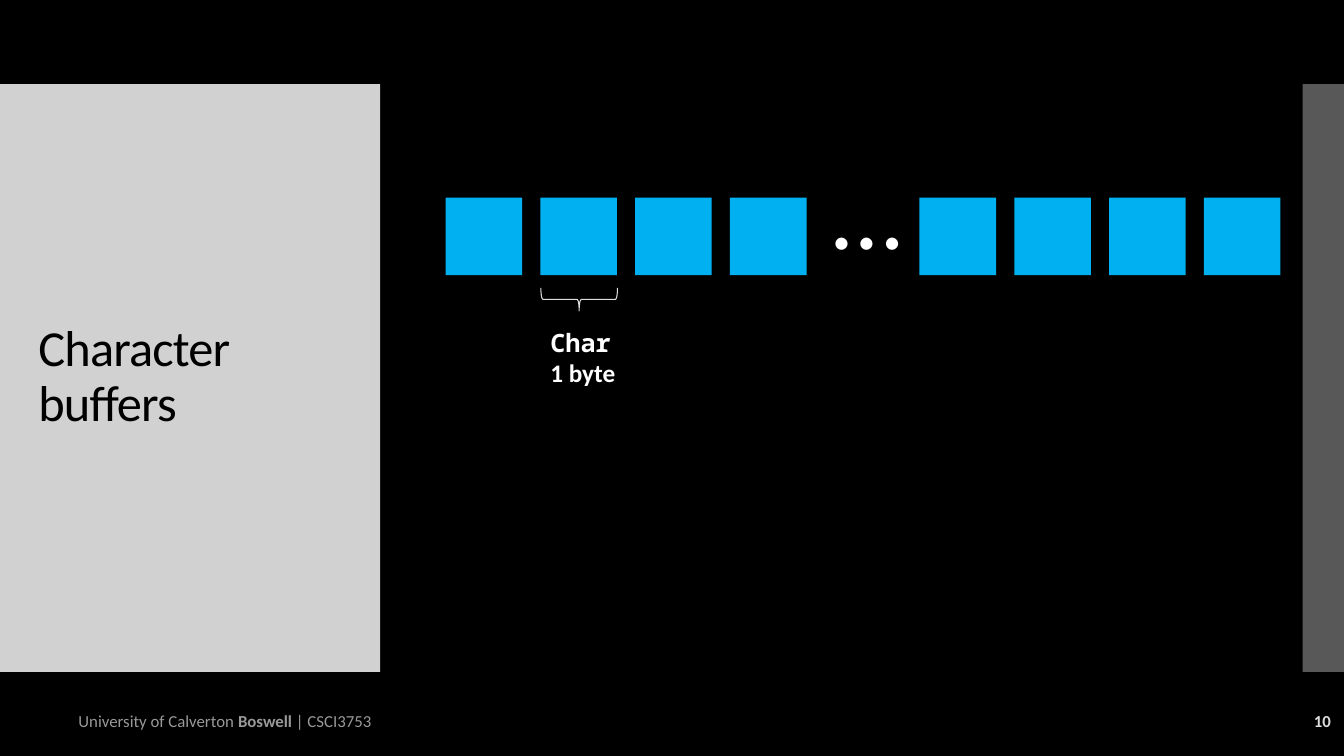
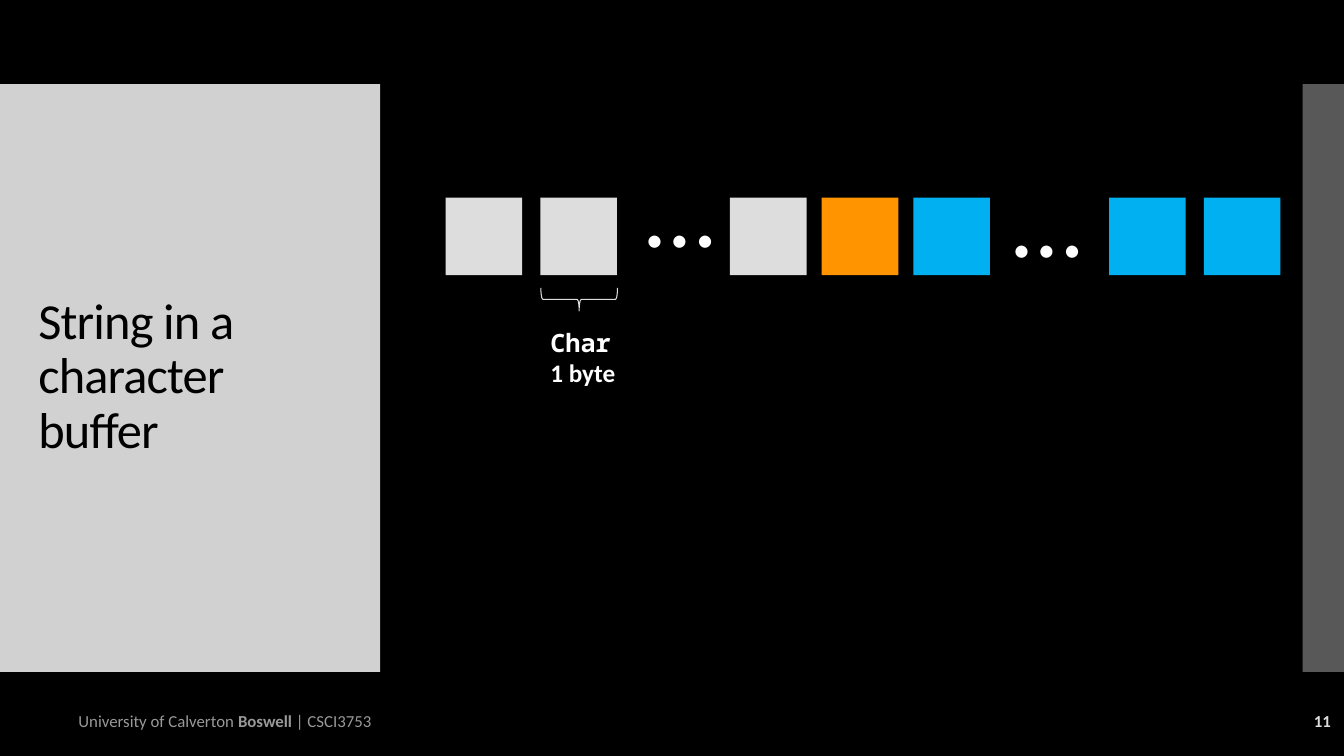
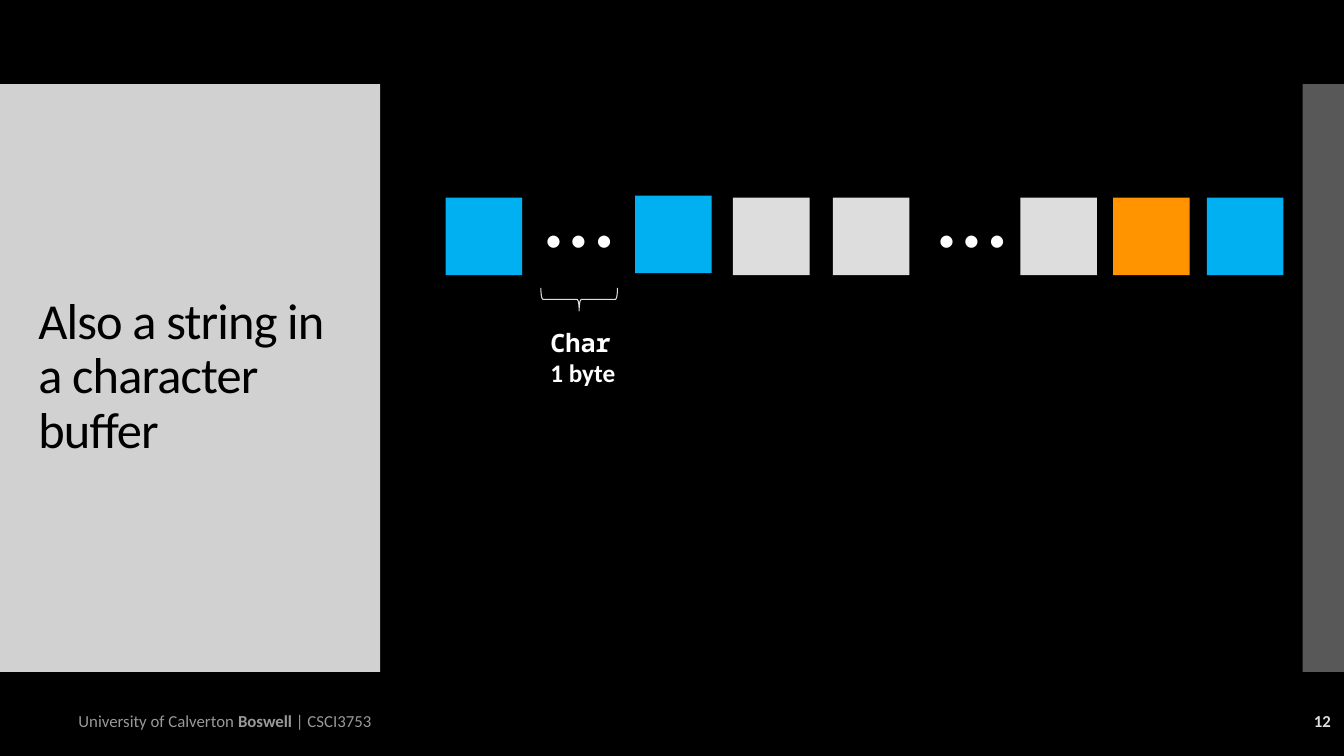
from dataclasses import dataclass, field
from typing import NamedTuple

from lxml.etree import SubElement
from pptx import Presentation
from pptx.dml.color import RGBColor
from pptx.enum.shapes import MSO_SHAPE as Preset
from pptx.enum.text import MSO_ANCHOR as Anchor, MSO_AUTO_SIZE as AutoSize, PP_ALIGN as Align
from pptx.oxml.ns import qn
from pptx.util import Inches, Pt

WIDTH, HEIGHT = 13.33, 7.5
BLACK, WHITE, PALE, GREY = "000000", "FFFFFF", "DDDDDD", "999999"
SANS, MONO = "Calibri", "Noto Sans Mono"

# Buffer grid: nine columns in one row.
BUFFER_LEFT, BUFFER_TOP, PITCH = 4.42, 1.96, 0.94
CELL_WIDTH, CELL_HEIGHT = 0.76, 0.77
DOTS_TOP, DOTS_WIDTH, DOTS_HEIGHT = 1.41, 0.93, 1.31
CELL_COLOURS = {"free": "00B0F0", "text": PALE, "end": "FF9300"}


class Box(NamedTuple):
    left: float
    top: float
    width: float
    height: float

    def lengths(self):
        return [Inches(value) for value in self]


class Band(NamedTuple):
    box: Box
    opacity: int


class Span(NamedTuple):
    text: str
    size: float
    colour: str
    bold: bool = False
    font: str = SANS


@dataclass
class Buffer:
    """One slide: its title, its cells in column order and their small shifts."""
    title: str
    cells: str
    shifts: dict[int, tuple[float, float]] = field(default_factory=dict)


BAND_TOP, BAND_HEIGHT = HEIGHT / 9, HEIGHT * 7 / 9
BANDS = [
    Band(Box(0, BAND_TOP, 3.77, BAND_HEIGHT), 95),
    Band(Box(12.92, BAND_TOP, WIDTH - 12.92, BAND_HEIGHT), 40),
]
TITLE_BOX = Box(0.28, 1.23, 3.22, 5.03)
FOOTER_BOX = Box(0.68, 6.95, 10.01, 0.4)
NUMBER_BOX = Box(11.63, 6.95, 1.67, 0.4)
BRACE_BOX = Box(5.63, 2.59, 0.23, 0.76)
CHAR_BOX = Box(5.36, 3.2, 1.95, 0.71)

FOOTER = [
    Span("University of Calverton ", 12, GREY),
    Span("Boswell", 12, GREY, True),
    Span(" | CSCI3753", 12, GREY),
]
CHAR_LABEL = [
    [Span("Char", 18, WHITE, True, MONO)],
    [Span("1 byte", 18, WHITE, True)],
]
FIRST_NUMBER = 10
BUFFERS = [
    Buffer("Character buffers",
           "free free free free … free free free free",
           {4: (-0.02, 0.02)}),
    Buffer("String in a character buffer",
           "text text … text end free … free free",
           {4: (-0.03, 0), 5: (-0.06, 0), 6: (-0.12, 0.1)}),
    Buffer("Also a string in a character buffer",
           "free … free text text … text end free",
           {1: (-0.06, 0), 2: (0, -0.02), 3: (0.03, 0), 4: (0.08, 0),
            5: (0.08, 0), 6: (0.06, 0), 7: (0.04, 0), 8: (0.03, 0)}),
]


def rgb(colour: str) -> RGBColor:
    return RGBColor.from_string(colour)


def add_preset(slide, preset, box: Box, fill: str = "", line: str = ""):
    shape = slide.shapes.add_shape(preset, *box.lengths())
    shape.shadow.inherit = False
    for part, colour in ((shape.fill, fill), (shape.line.fill, line)):
        if colour:
            part.solid()
            part.fore_color.rgb = rgb(colour)
        else:
            part.background()
    return shape


def write(paragraph, spans: list[Span]) -> None:
    for span in spans:
        run = paragraph.add_run()
        run.text = span.text
        style = {"name": span.font, "size": Pt(span.size), "bold": span.bold}
        for attribute, value in style.items():
            setattr(run.font, attribute, value)
        run.font.color.rgb = rgb(span.colour)


def add_text(slide, box: Box, lines: list[list[Span]], align=Align.LEFT,
             anchor=Anchor.TOP, fit=AutoSize.NONE) -> None:
    frame = slide.shapes.add_textbox(*box.lengths()).text_frame
    frame.word_wrap, frame.auto_size, frame.vertical_anchor = True, fit, anchor
    for index, spans in enumerate(lines):
        paragraph = frame.add_paragraph() if index else frame.paragraphs[0]
        paragraph.alignment = align
        write(paragraph, spans)


def prepare_layout(layout) -> None:
    """Keep only the title placeholder and put it on the left band."""
    for holder in list(layout.placeholders):
        if holder.placeholder_format.idx:
            holder.element.getparent().remove(holder.element)
        else:
            holder.left, holder.top, holder.width, holder.height = TITLE_BOX.lengths()


def move_bands_to_layout(slide, layout) -> None:
    """Draw the bands once and hand them to the layout, as layouts have no add_shape."""
    for band in BANDS:
        shape = add_preset(slide, Preset.RECTANGLE, band.box, PALE)
        for colour in shape.element.spPr.iter(qn("a:srgbClr")):
            SubElement(colour, qn("a:alpha"), val=str(band.opacity * 1000))
        layout.shapes.element.append(shape.element)


def set_title(slide, text: str) -> None:
    title = slide.shapes.title
    frame = title.text_frame
    frame.word_wrap, frame.auto_size = True, AutoSize.NONE
    frame.vertical_anchor = Anchor.MIDDLE
    paragraph = frame.paragraphs[0]
    paragraph.alignment, paragraph.line_spacing = Align.LEFT, 0.9
    write(paragraph, [Span(text, 36, BLACK)])
    for properties in title.element.iter(qn("a:rPr")):
        properties.set("spc", "-60")


def add_footer(slide, number: int) -> None:
    add_text(slide, FOOTER_BOX, [FOOTER], anchor=Anchor.MIDDLE)
    add_text(slide, NUMBER_BOX, [[Span(str(number), 12, PALE, True)]],
             Align.RIGHT, Anchor.MIDDLE)


def add_cells(slide, buffer: Buffer) -> None:
    for column, kind in enumerate(buffer.cells.split()):
        right, down = buffer.shifts.get(column, (0, 0))
        left = BUFFER_LEFT + column * PITCH + right
        if kind == "…":
            add_text(slide, Box(left, DOTS_TOP + down, DOTS_WIDTH, DOTS_HEIGHT),
                     [[Span(kind, 72, WHITE)]], fit=AutoSize.SHAPE_TO_FIT_TEXT)
        else:
            add_preset(slide, Preset.RECTANGLE,
                       Box(left, BUFFER_TOP + down, CELL_WIDTH, CELL_HEIGHT),
                       CELL_COLOURS[kind])


def add_char_label(slide) -> None:
    brace = add_preset(slide, Preset.LEFT_BRACE, BRACE_BOX, line=PALE)
    brace.rotation = 270
    brace.line.width = Pt(0.75)
    add_text(slide, CHAR_BOX, CHAR_LABEL, fit=AutoSize.SHAPE_TO_FIT_TEXT)


def main() -> None:
    deck = Presentation()
    deck.slide_width, deck.slide_height = Inches(WIDTH), Inches(HEIGHT)
    backdrop = deck.slide_master.background.fill
    backdrop.solid()
    backdrop.fore_color.rgb = rgb(BLACK)
    layout = deck.slide_layouts.get_by_name("Title Only")
    prepare_layout(layout)

    for number, buffer in enumerate(BUFFERS, FIRST_NUMBER):
        slide = deck.slides.add_slide(layout)
        if number == FIRST_NUMBER:
            move_bands_to_layout(slide, layout)
        set_title(slide, buffer.title)
        add_footer(slide, number)
        add_cells(slide, buffer)
        add_char_label(slide)
    deck.save("out.pptx")


if __name__ == "__main__":
    main()
